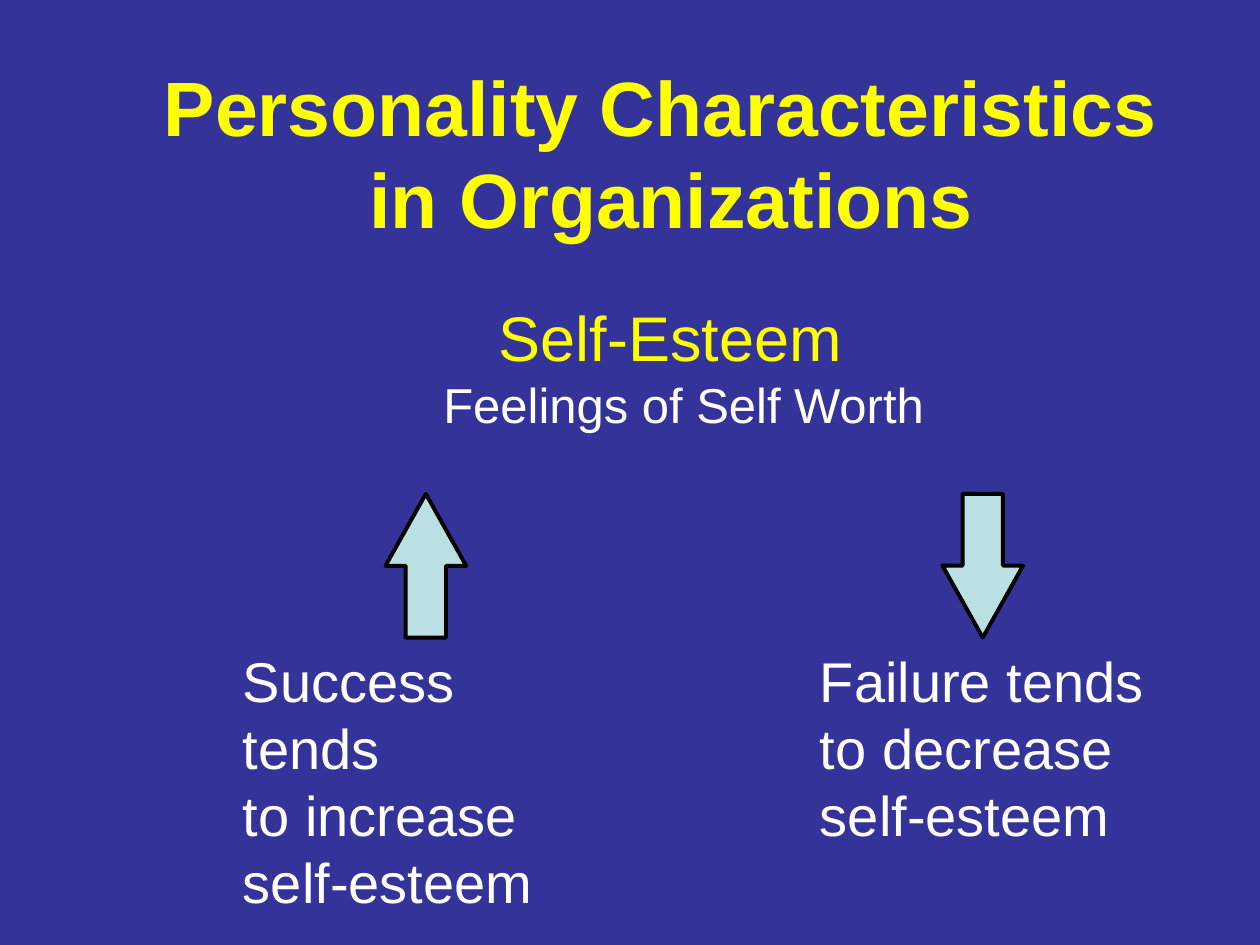
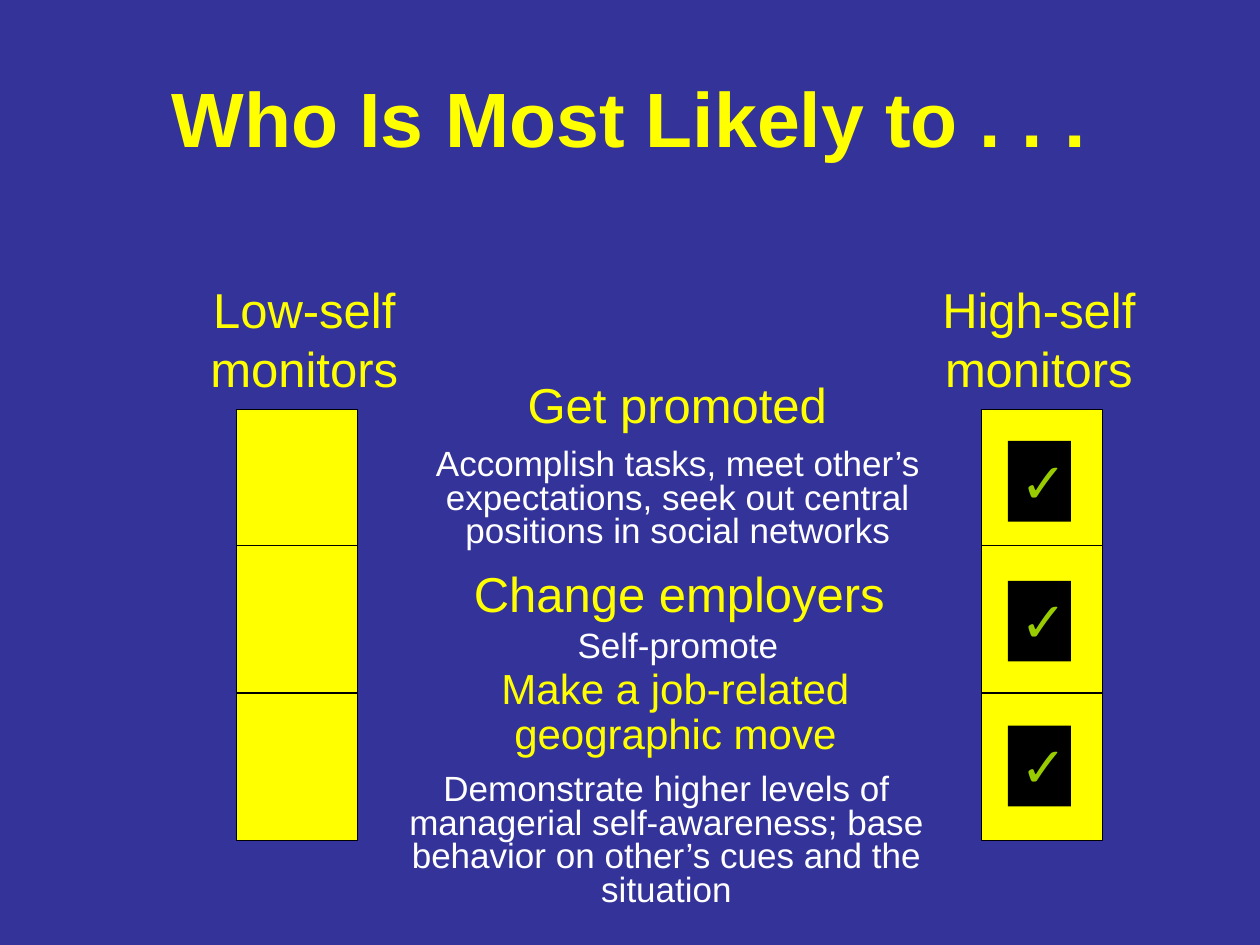
from dataclasses import dataclass

from lxml import etree
from pptx import Presentation
from pptx import util as u
from pptx.dml import color
from pptx.enum import shapes, text
from pptx.oxml import ns


@dataclass(frozen=True)
class Theme:
    background: str = "333399"
    accent: str = "FFFF00"
    body: str = "FFFFFF"
    arrow: str = "BBE0E3"
    outline: str = "000000"
    tick: str = "99CC00"
    font: str = "Arial"
    title_size: int = 44
    topic_size: int = 36
    large_size: int = 32
    heading_size: int = 28
    small_heading_size: int = 24
    detail_size: int = 20


THEME = Theme()
LEFT, CENTER = text.PP_ALIGN.LEFT, text.PP_ALIGN.CENTER
PANEL_TOP, PANEL_WIDTH, PANEL_HEIGHT = 3.25, 0.96, 3.42
DIVIDERS = (4.33, 5.5)
TICK_TOPS = (3.5, 4.61, 5.76)


def rgb(value):
    return color.RGBColor.from_string(value)


def set_attributes(target, values):
    for name, value in values.items():
        setattr(target, name, value)


def inches(*lengths):
    return [u.Inches(length) for length in lengths]


def write(shape, lines, size, ink, align=LEFT, bold=False, spacing=None,
          wrap=True, anchor=text.MSO_ANCHOR.TOP):
    """Fill a shape with one paragraph per line, all in one format."""
    frame = shape.text_frame
    set_attributes(frame, {"word_wrap": wrap, "vertical_anchor": anchor})
    frame.text = "\n".join(lines)
    for paragraph in frame.paragraphs:
        set_attributes(paragraph, {"alignment": align, "line_spacing": spacing})
        for run in paragraph.runs:
            set_attributes(run.font, {"name": THEME.font, "size": u.Pt(size), "bold": bold})
            run.font.color.rgb = rgb(ink)


def add_text(slide, box, lines, size, ink, **options):
    write(slide.shapes.add_textbox(*inches(*box)), lines, size, ink, **options)


def add_title(slide, box, title):
    add_text(slide, box, [title], THEME.title_size, THEME.accent, align=CENTER,
             bold=True, anchor=text.MSO_ANCHOR.MIDDLE)


def add_shape(slide, kind, box, fill, line_width=None):
    """Add a flat shape, outlined only when a line width is given."""
    shape = slide.shapes.add_shape(kind, *inches(*box))
    shape.shadow.inherit = False
    shape.fill.solid()
    shape.fill.fore_color.rgb = rgb(fill)
    if line_width is None:
        shape.line.fill.background()
    else:
        shape.line.color.rgb = rgb(THEME.outline)
        shape.line.width = u.Pt(line_width)
    return shape


def add_divider(slide, left, top):
    line = slide.shapes.add_connector(
        shapes.MSO_CONNECTOR.STRAIGHT, *inches(left, top, left + PANEL_WIDTH, top))
    line.line.color.rgb = rgb(THEME.outline)
    line.line.width = u.Pt(0.75)
    etree.SubElement(line._element.spPr, ns.qn("a:effectLst"))


def add_outcome(slide, kind, arrow_left, text_left, text_width, lines):
    """Add a block arrow with the effect on self-esteem below it."""
    arrow = add_shape(slide, kind, (arrow_left, 3.92, 0.64, 1.14), THEME.arrow, 2.25)
    arrow.adjustments[0], arrow.adjustments[1] = 0.5, 0.892
    add_text(slide, (text_left, 5.08, text_width, 1.7), lines,
             THEME.large_size, THEME.body, wrap=False)


def add_monitor_column(slide, panel_left, label_left, label):
    add_text(slide, (label_left, 2.17, 1.83, 1.04), [label],
             THEME.heading_size, THEME.accent, align=CENTER)
    add_shape(slide, shapes.MSO_SHAPE.RECTANGLE,
              (panel_left, PANEL_TOP, PANEL_WIDTH, PANEL_HEIGHT), THEME.accent, 0.75)
    for top in DIVIDERS:
        add_divider(slide, panel_left, top)


def add_tick(slide, top):
    box = add_shape(slide, shapes.MSO_SHAPE.RECTANGLE, (8, top, 0.5, 0.64), THEME.outline)
    write(box, ["✓"], THEME.large_size, THEME.tick)


def build_self_esteem(slide):
    add_title(slide, (1.08, 0.58, 8.5, 1.25),
              "Personality Characteristics \vin Organizations")
    add_text(slide, (3.86, 2.32, 2.92, 0.7), ["Self-Esteem"],
             THEME.topic_size, THEME.accent, wrap=False)
    add_text(slide, (3.42, 2.92, 4.08, 0.56), ["Feelings of Self Worth"],
             THEME.heading_size, THEME.body)
    add_outcome(slide, shapes.MSO_SHAPE.UP_ARROW, 3.06, 1.83, 3.09,
                ["Success tends", "to increase", "self-esteem"])
    add_outcome(slide, shapes.MSO_SHAPE.DOWN_ARROW, 7.48, 6.41, 2.77,
                ["Failure tends", "to decrease", "self-esteem"])


def build_self_monitors(slide):
    add_title(slide, (0.5, 0.3, 9, 1.25), "Who Is Most Likely to . . .")
    add_monitor_column(slide, 1.88, 1.5, "Low-self monitors")
    add_monitor_column(slide, 7.79, 7.33, "High-self monitors")
    for top in TICK_TOPS:
        add_tick(slide, top)

    headings = [
        ((3.77, 2.92, 3.21, 0.57), "Get promoted", THEME.heading_size, None),
        ((3.58, 4.42, 3.62, 0.57), "Change employers", THEME.heading_size, None),
        ((3.67, 5.25, 3.38, 0.82), "Make a job-related geographic move",
         THEME.small_heading_size, 0.9),
    ]
    for box, heading, size, spacing in headings:
        add_text(slide, box, [heading], size, THEME.accent, align=CENTER, spacing=spacing)

    details = [
        ((3.17, 3.52, 4.42, 0.9), "Accomplish tasks, meet other’s expectations, "
         "seek out central positions in social networks", 0.8),
        ((3.17, 4.9, 4.42, 0.44), "Self-promote", None),
        ((2.83, 6.1, 4.92, 1.17), "Demonstrate higher levels of managerial self-awareness; "
         "base behavior on other’s cues and the situation", 0.8),
    ]
    for box, detail, spacing in details:
        add_text(slide, box, [detail], THEME.detail_size, THEME.body,
                 align=CENTER, spacing=spacing)


def main():
    presentation = Presentation()
    set_attributes(presentation, {"slide_width": u.Inches(10), "slide_height": u.Inches(7.5)})
    background = presentation.slide_master.background.fill
    background.solid()
    background.fore_color.rgb = rgb(THEME.background)
    blank = presentation.slide_layouts[6]
    for build in (build_self_esteem, build_self_monitors):
        build(presentation.slides.add_slide(blank))
    presentation.save("out.pptx")


if __name__ == "__main__":
    main()
